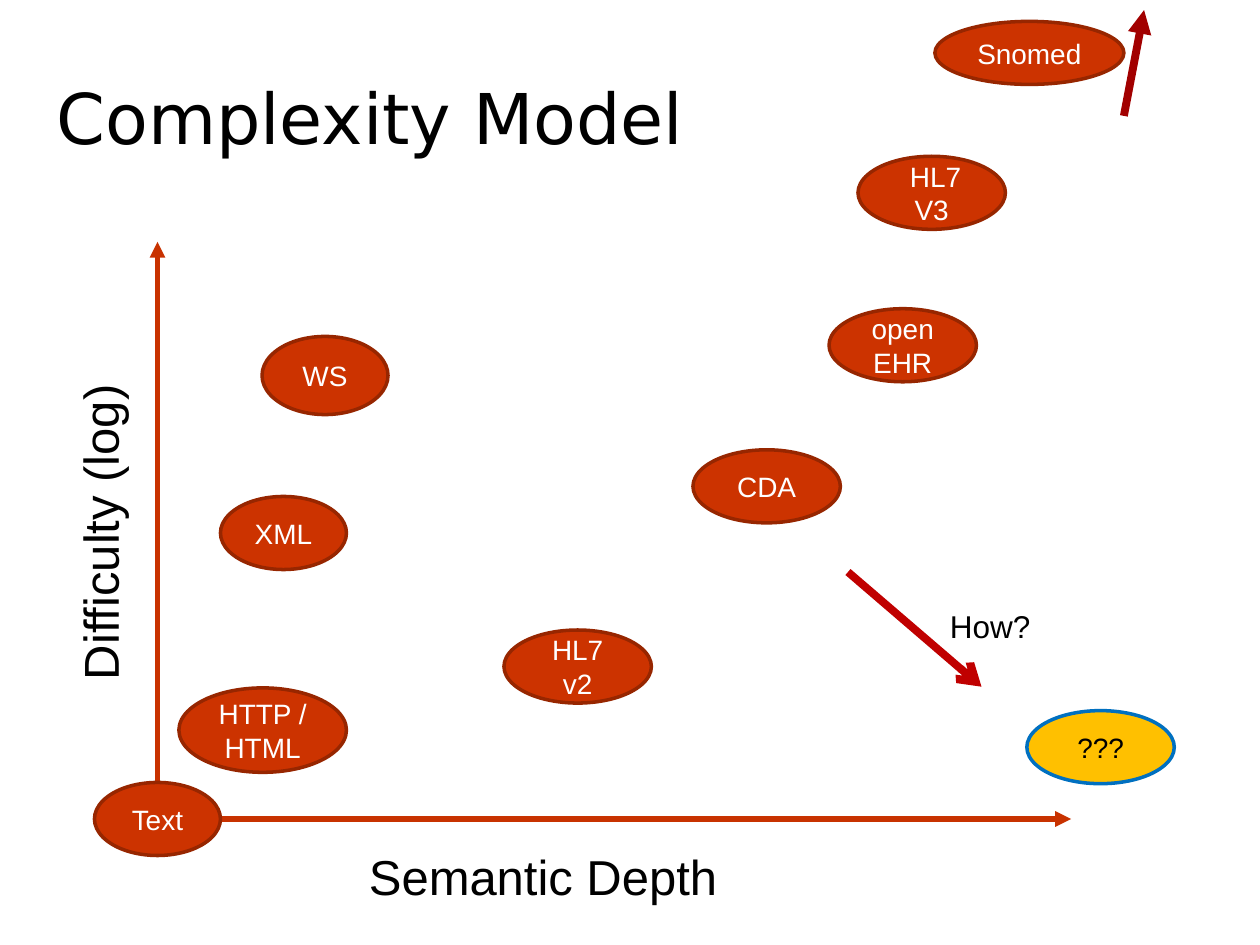
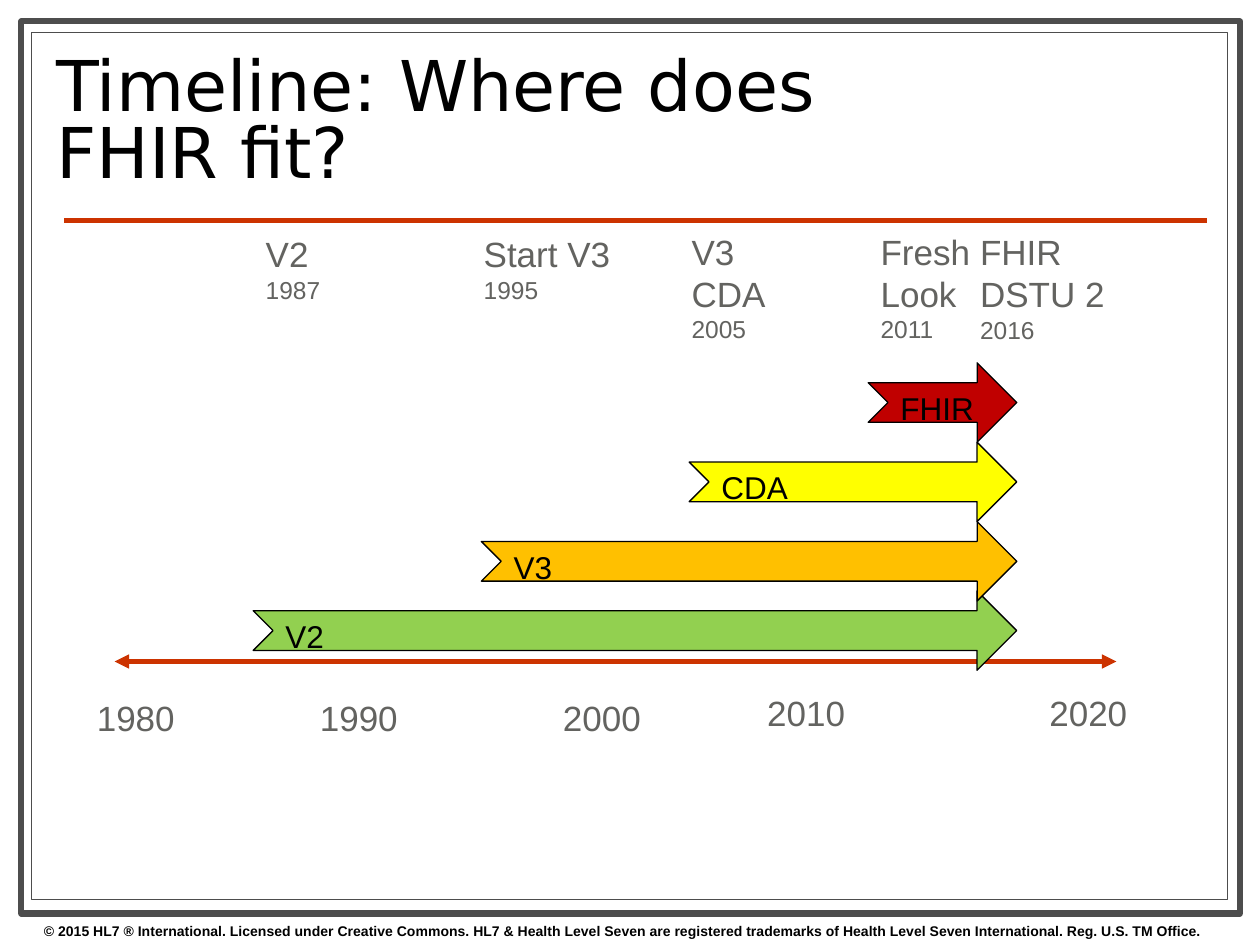
from typing import NamedTuple

from lxml.etree import SubElement
from pptx import Presentation
from pptx.dml.color import RGBColor
from pptx.enum.shapes import MSO_CONNECTOR, MSO_SHAPE
from pptx.enum.text import MSO_ANCHOR, MSO_AUTO_SIZE, PP_ALIGN
from pptx.oxml.ns import qn
from pptx.shapes.autoshape import Shape
from pptx.slide import Slide
from pptx.text.text import TextFrame
from pptx.util import Inches, Pt

BLACK = RGBColor(0x00, 0x00, 0x00)
WHITE = RGBColor(0xFF, 0xFF, 0xFF)
BRICK = RGBColor(0xCC, 0x33, 0x00)
DARK_BRICK = RGBColor(0x97, 0x26, 0x00)
AXIS_RED = RGBColor(0xC8, 0x32, 0x00)
STEEP_RED = RGBColor(0xA2, 0x00, 0x00)
DEEP_RED = RGBColor(0xC0, 0x00, 0x00)
AMBER = RGBColor(0xFF, 0xC0, 0x00)
YELLOW = RGBColor(0xFF, 0xFF, 0x00)
GREEN = RGBColor(0x92, 0xD0, 0x50)
BLUE = RGBColor(0x00, 0x70, 0xC0)
FRAME_GREY = RGBColor(0x4D, 0x4D, 0x4D)
LABEL_GREY = RGBColor(0x63, 0x63, 0x60)
BODY_FONT = "Arial"
TITLE_FONT = "DejaVu Sans"
COPYRIGHT = (
    "© 2015 HL7 ® International. Licensed under Creative Commons. "
    "HL7 & Health Level Seven are registered trademarks of "
    "Health Level Seven International. Reg. U.S. TM Office."
)


class Box(NamedTuple):
    left: float
    top: float
    width: float
    height: float


class Standard(NamedTuple):
    name: str
    left: float
    top: float
    width: float = 1.17
    height: float = 0.58
    fill: RGBColor = BRICK
    outline: RGBColor = DARK_BRICK
    ink: RGBColor = WHITE


class Era(NamedTuple):
    name: str
    start: float
    top: float
    fill: RGBColor


class Milestone(NamedTuple):
    names: list[str]
    year: str
    box: Box


class YearMark(NamedTuple):
    year: str
    left: float
    top: float


STANDARDS = [
    Standard("HTTP / HTML", 1.42, 5.46, 1.33, 0.67),
    Standard("XML", 1.75, 3.94, 1),
    Standard("WS", 2.08, 2.67, 1, 0.62),
    Standard("HL7 v2", 4, 5),
    Standard("Snomed", 7.42, 0.17, 1.5, 0.5),
    Standard("CDA", 5.5, 3.57),
    Standard(" HL7 V3", 6.81, 1.24),
    Standard("openEHR", 6.58, 2.45),
    Standard("Text", 0.75, 6.21, 1),
    Standard("???", 8.15, 5.64, fill=AMBER, outline=BLUE, ink=BLACK),
]

ERAS_END = 8.07
ERA_HEIGHT = 0.63
ERAS = [
    Era("V2", 2.01, 4.69, GREEN),
    Era("V3", 3.82, 4.14, AMBER),
    Era("CDA", 5.47, 3.51, YELLOW),
    Era("FHIR", 6.89, 2.88, DEEP_RED),
]

MILESTONES = [
    Milestone(["V2"], "1987", Box(2.01, 1.8, 0.65, 0.67)),
    Milestone(["Start V3"], "1995", Box(3.74, 1.8, 1.22, 0.67)),
    Milestone(["V3", "CDA"], "2005", Box(5.39, 1.78, 0.82, 1.04)),
    Milestone(["Fresh", "Look"], "2011", Box(6.89, 1.78, 0.92, 1.04)),
    Milestone(["FHIR", "DSTU 2"], "2016", Box(7.68, 1.78, 1.2, 1.01)),
]

YEAR_MARKS = [
    YearMark("1980", 0.67, 5.48),
    YearMark("1990", 2.44, 5.48),
    YearMark("2000", 4.37, 5.48),
    YearMark("2010", 5.99, 5.44),
    YearMark("2020", 8.23, 5.44),
]


def write(
    frame: TextFrame,
    text: str,
    *,
    size: float,
    color: RGBColor = BLACK,
    font: str = BODY_FONT,
    bold: bool = False,
    align: PP_ALIGN = PP_ALIGN.LEFT,
    anchor: MSO_ANCHOR = MSO_ANCHOR.TOP,
    line_spacing: float = 1.0,
    wrap: bool = True,
    grow: bool = False,
    append: bool = False,
) -> None:
    frame.word_wrap = wrap
    frame.vertical_anchor = anchor
    frame.auto_size = MSO_AUTO_SIZE.SHAPE_TO_FIT_TEXT if grow else MSO_AUTO_SIZE.NONE
    paragraph = frame.add_paragraph() if append else frame.paragraphs[0]
    paragraph.alignment = align
    paragraph.line_spacing = line_spacing
    run = paragraph.add_run()
    run.text = text
    run.font.name = font
    run.font.size = Pt(size)
    run.font.bold = bold
    run.font.color.rgb = color


def add_box(slide: Slide, box: Box) -> Shape:
    return slide.shapes.add_textbox(*map(Inches, box))


def add_label(slide: Slide, text: str, box: Box, size: float, color: RGBColor = BLACK) -> Shape:
    label = add_box(slide, box)
    write(label.text_frame, text, size=size, color=color, wrap=False, grow=True)
    return label


def add_title(slide: Slide, text: str) -> None:
    title = add_box(slide, Box(0.35, 0.36, 7.17, 1.26))
    write(title.text_frame, text, size=40, font=TITLE_FONT,
          anchor=MSO_ANCHOR.MIDDLE, line_spacing=0.8)


def add_figure(slide: Slide, kind: MSO_SHAPE, box: Box, fill: RGBColor,
               outline: RGBColor, weight: float) -> Shape:
    figure = slide.shapes.add_shape(kind, *map(Inches, box))
    figure.shadow.inherit = False
    figure.fill.solid()
    figure.fill.fore_color.rgb = fill
    figure.line.color.rgb = outline
    figure.line.width = Pt(weight)
    return figure


def add_line(slide: Slide, start: tuple[float, float], end: tuple[float, float],
             color: RGBColor, weight: float, head: str = "", tail: str = "") -> None:
    line = slide.shapes.add_connector(
        MSO_CONNECTOR.STRAIGHT, *map(Inches, (*start, *end)))
    line.line.color.rgb = color
    line.line.width = Pt(weight)
    properties = line._element.spPr
    for tag, arrowhead in (("a:headEnd", head), ("a:tailEnd", tail)):
        if arrowhead:
            SubElement(properties.find(qn("a:ln")), qn(tag), type=arrowhead)
    SubElement(properties, qn("a:effectLst"))


def add_standard(slide: Slide, standard: Standard) -> None:
    box = Box(standard.left, standard.top, standard.width, standard.height)
    bubble = add_figure(slide, MSO_SHAPE.OVAL, box, standard.fill, standard.outline, 2)
    write(bubble.text_frame, standard.name, size=16, color=standard.ink,
          align=PP_ALIGN.CENTER, anchor=MSO_ANCHOR.MIDDLE)


def add_era(slide: Slide, era: Era) -> None:
    box = Box(era.start, era.top, ERAS_END - era.start, ERA_HEIGHT)
    arrow = add_figure(slide, MSO_SHAPE.NOTCHED_RIGHT_ARROW, box, era.fill, BLACK, 0.75)
    write(arrow.text_frame, era.name, size=18)


def add_milestone(slide: Slide, milestone: Milestone) -> None:
    frame = add_box(slide, milestone.box).text_frame
    lines = [(name, 20) for name in milestone.names] + [(milestone.year, 14)]
    for index, (text, size) in enumerate(lines):
        write(frame, text, size=size, color=LABEL_GREY, wrap=False, grow=True,
              append=index > 0)


def add_page_frame(slide: Slide) -> None:
    for box, weight in ((Box(0.17, 0.17, 9.67, 7.08), 3.5),
                        (Box(0.25, 0.26, 9.49, 6.88), 0.75)):
        add_figure(slide, MSO_SHAPE.RECTANGLE, box, WHITE, FRAME_GREY, weight)
    add_line(slide, (0.51, 1.75), (9.58, 1.75), BRICK, 3)
    footer = add_box(slide, Box(0.25, 7.27, 10, 0.23))
    write(footer.text_frame, COPYRIGHT, size=8, bold=True, grow=True)


def build_complexity(slide: Slide) -> None:
    add_title(slide, "Complexity Model")
    origin = (1.25, 6.5)
    add_line(slide, origin, (1.25, 1.92), AXIS_RED, 3, tail="triangle")
    add_line(slide, origin, (8.5, 6.5), AXIS_RED, 3, tail="triangle")
    difficulty = add_label(slide, "Difficulty (log)", Box(-0.5, 3.92, 2.58, 0.57), 28)
    difficulty.rotation = 270
    add_label(slide, "Semantic Depth", Box(2.83, 6.67, 3, 0.57), 28)
    for standard in STANDARDS:
        add_standard(slide, standard)
    add_line(slide, (8.92, 0.92), (9.08, 0.08), STEEP_RED, 4.5, tail="triangle")
    add_line(slide, (6.73, 4.54), (7.79, 5.45), DEEP_RED, 4.5, tail="arrow")
    add_label(slide, "How?", Box(7.44, 4.77, 0.85, 0.4), 18)


def build_timeline(slide: Slide) -> None:
    add_page_frame(slide)
    add_title(slide, "Timeline: Where does FHIR fit?")
    add_line(slide, (0.91, 5.25), (8.86, 5.25), BRICK, 2.75,
             head="triangle", tail="triangle")
    for mark in YEAR_MARKS:
        add_label(slide, mark.year, Box(mark.left, mark.top, 0.83, 0.44), 20, LABEL_GREY)
    for milestone in MILESTONES:
        add_milestone(slide, milestone)
    for era in ERAS:
        add_era(slide, era)


def main() -> None:
    deck = Presentation()
    deck.slide_width = Inches(10)
    deck.slide_height = Inches(7.5)
    blank = deck.slide_layouts[6]
    for build in (build_complexity, build_timeline):
        build(deck.slides.add_slide(blank))
    deck.save("out.pptx")


if __name__ == "__main__":
    main()
